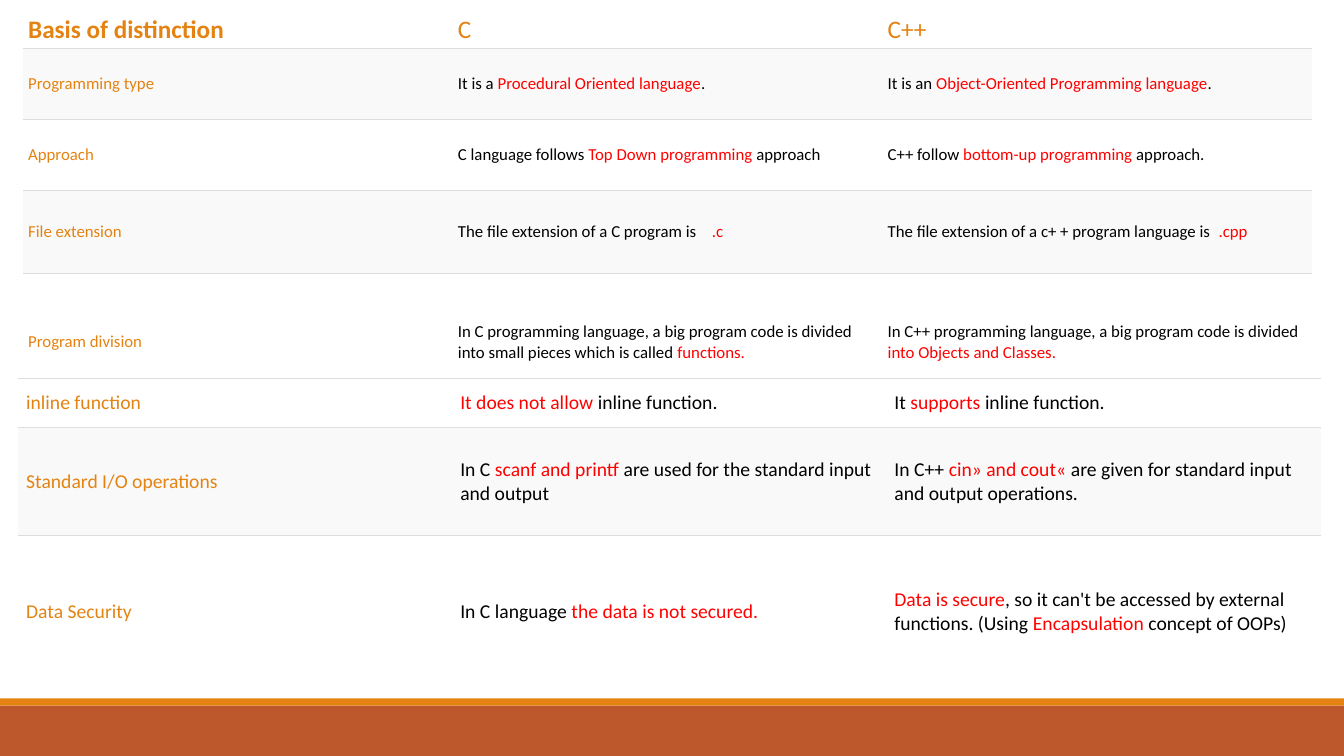
"""Build a slide that compares C and C++ in two tables above a footer band."""
from lxml.etree import SubElement
from pptx import Presentation
from pptx.dml.color import RGBColor
from pptx.enum.shapes import MSO_SHAPE
from pptx.enum.text import MSO_ANCHOR
from pptx.oxml import parse_xml
from pptx.oxml.ns import nsdecls, qn
from pptx.util import Cm, Pt

ORANGE, RUST, RED, BLACK = "E48312", "BD582C", "FF0000", "000000"
WHITE, GREY, RULE = "FFFFFF", "F9F9F9", "DDDDDD"
FONT = "Calibri"
SLIDE_WIDTH, SLIDE_HEIGHT = 33.87, 19.05

# Text between a pair of bars is red.
BASICS = {
    "left": 0.58, "top": 0.28, "column": 10.83, "size": 12, "inset": (0.13, 0.08),
    "header": True, "top_rule": False,
    "heights": [0.79, 1.79, 1.79, 2.1, 3.45],
    "rows": [
        ("Basis of distinction", "C", "C++"),
        ("Programming type", "It is a |Procedural Oriented language|.",
         "It is an |Object-Oriented Programming language|."),
        ("Approach", "C language follows |Top Down programming |approach",
         "C++ follow |bottom-up programming| approach."),
        ("File extension", "The file extension of a C program is\t|.c",
         "The file extension of a c+ + program language is\t|.cpp"),
        ("Program division",
         "In C programming language, a big program code is divided into small pieces "
         "which is called |functions.",
         "In C++ programming language, a big program code is divided "
         "|into Objects and Classes."),
    ],
    "tabs": {(3, 1): 6.4, (3, 2): 8.34},
}
FEATURES = {
    "left": 0.46, "top": 9.53, "column": 10.94, "size": 14, "inset": (0.2, 0.1),
    "header": False, "top_rule": True,
    "heights": [1.24, 2.72, 3.84],
    "rows": [
        ("inline function", "|It does not allow |inline function.",
         "It |supports |inline function."),
        ("Standard I/O operations",
         "In C |scanf and printf |are used for the standard input and output",
         "In C++ |cin» and cout« |are given for standard input and output operations."),
        ("Data Security", "In C language |the data is not secured.",
         "|Data is secure|, so it can't be accessed by external functions. (Using "
         "|Encapsulation |concept of OOPs)"),
    ],
    "tabs": {},
}
BANDS = [(17.78, 1.27, RUST), (17.6, 0.18, ORANGE)]


def color(value):
    """Turn a hex string into a colour."""
    return RGBColor.from_string(value)


def add_band(slide, top, height, fill):
    """Add a full-width footer band."""
    shape = slide.shapes.add_shape(
        MSO_SHAPE.RECTANGLE, 0, Cm(top), Cm(SLIDE_WIDTH), Cm(height))
    shape.shadow.inherit = False
    shape.fill.solid()
    shape.fill.fore_color.rgb = color(fill)
    shape.line.fill.background()


def set_borders(cell, ruled_sides):
    """Rule the given sides of a cell and clear the others."""
    properties = cell._tc.get_or_add_tcPr()
    for index, side in enumerate("LRTB"):
        paint = (f'<a:solidFill><a:srgbClr val="{RULE}"/></a:solidFill>'
                 if side in ruled_sides else "<a:noFill/>")
        properties.insert(index, parse_xml(
            f'<a:ln{side} {nsdecls("a")} w="{Pt(0.5)}">{paint}</a:ln{side}>'))


def write_text(paragraph, text, size, base, bold):
    """Write the pieces of a text, every second one in red."""
    for index, piece in enumerate(text.split("|")):
        if piece:
            run = paragraph.add_run()
            run.text = piece
            run.font.name = FONT
            run.font.size = Pt(size)
            run.font.bold = bold
            run.font.color.rgb = color(RED if index % 2 else base)


def add_comparison(slide, content):
    """Add one comparison table."""
    rows, heights = content["rows"], content["heights"]
    columns = len(rows[0])
    table = slide.shapes.add_table(
        len(rows), columns, Cm(content["left"]), Cm(content["top"]),
        Cm(content["column"] * columns), Cm(sum(heights))).table
    table.first_row = table.horz_banding = False
    for column in table.columns:
        column.width = Cm(content["column"])
    for row_index, texts in enumerate(rows):
        table.rows[row_index].height = Cm(heights[row_index])
        heading = content["header"] and row_index == 0
        sides = "T" if row_index or content["top_rule"] else ""
        sides += "B" if row_index < len(rows) - 1 else ""
        for column_index, text in enumerate(texts):
            cell = table.cell(row_index, column_index)
            cell.vertical_anchor = MSO_ANCHOR.MIDDLE
            cell.margin_left = cell.margin_right = Cm(content["inset"][0])
            cell.margin_top = cell.margin_bottom = Cm(content["inset"][1])
            cell.fill.solid()
            cell.fill.fore_color.rgb = color(GREY if row_index % 2 else WHITE)
            set_borders(cell, sides)
            paragraph = cell.text_frame.paragraphs[0]
            tab = content["tabs"].get((row_index, column_index))
            if tab:
                tab_list = SubElement(paragraph._p.get_or_add_pPr(), qn("a:tabLst"))
                SubElement(tab_list, qn("a:tab"), pos=str(Cm(tab)), algn="l")
            write_text(paragraph, text, 18 if heading else content["size"],
                       ORANGE if heading or column_index == 0 else BLACK,
                       heading and column_index == 0)


def main():
    """Build and save the presentation."""
    presentation = Presentation()
    presentation.slide_width = Cm(SLIDE_WIDTH)
    presentation.slide_height = Cm(SLIDE_HEIGHT)
    slide = presentation.slides.add_slide(presentation.slide_layouts[6])
    for band in BANDS:
        add_band(slide, *band)
    for content in (BASICS, FEATURES):
        add_comparison(slide, content)
    presentation.save("out.pptx")


if __name__ == "__main__":
    main()
